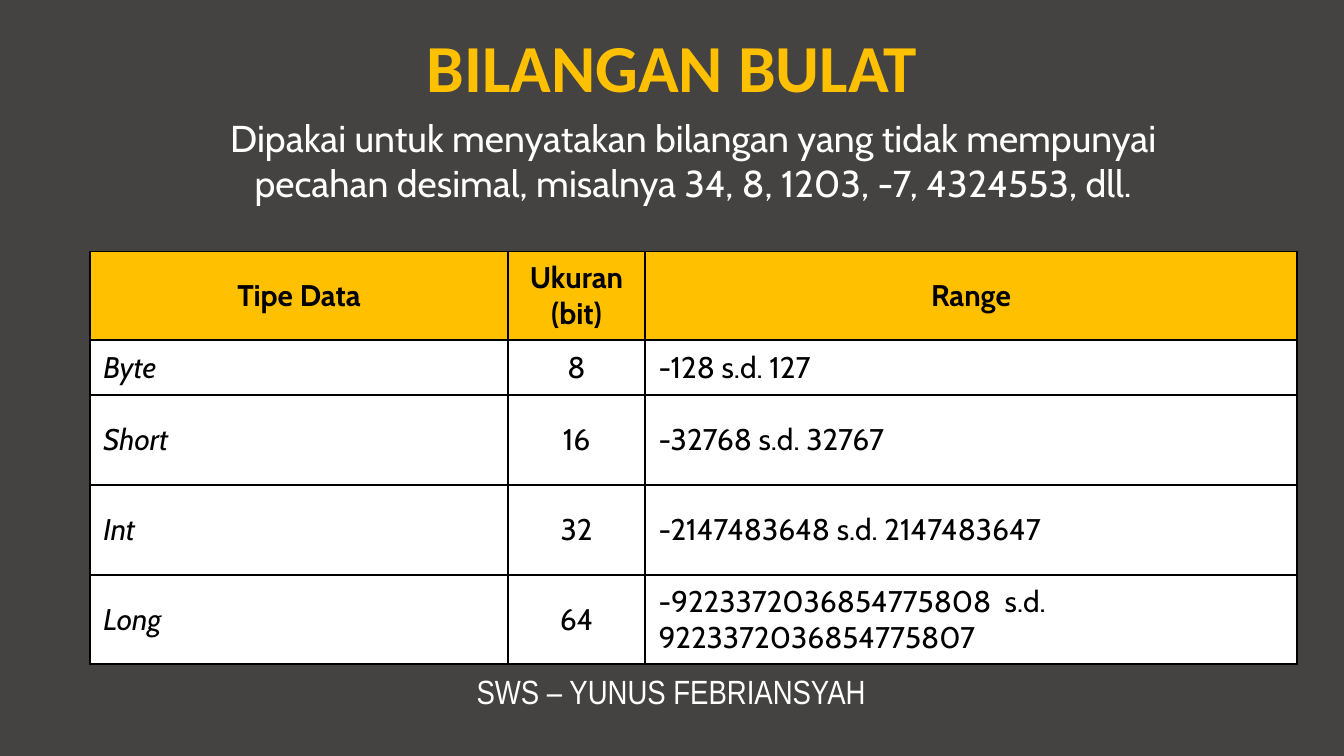
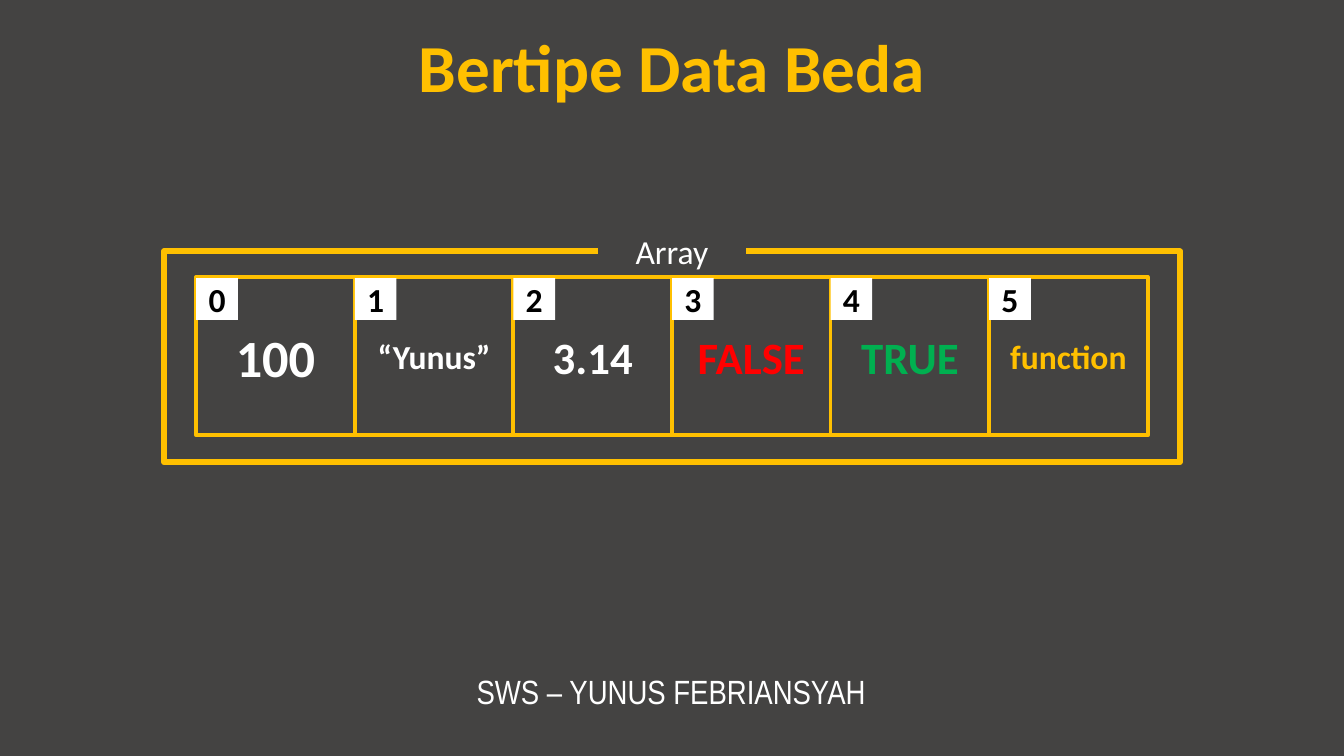
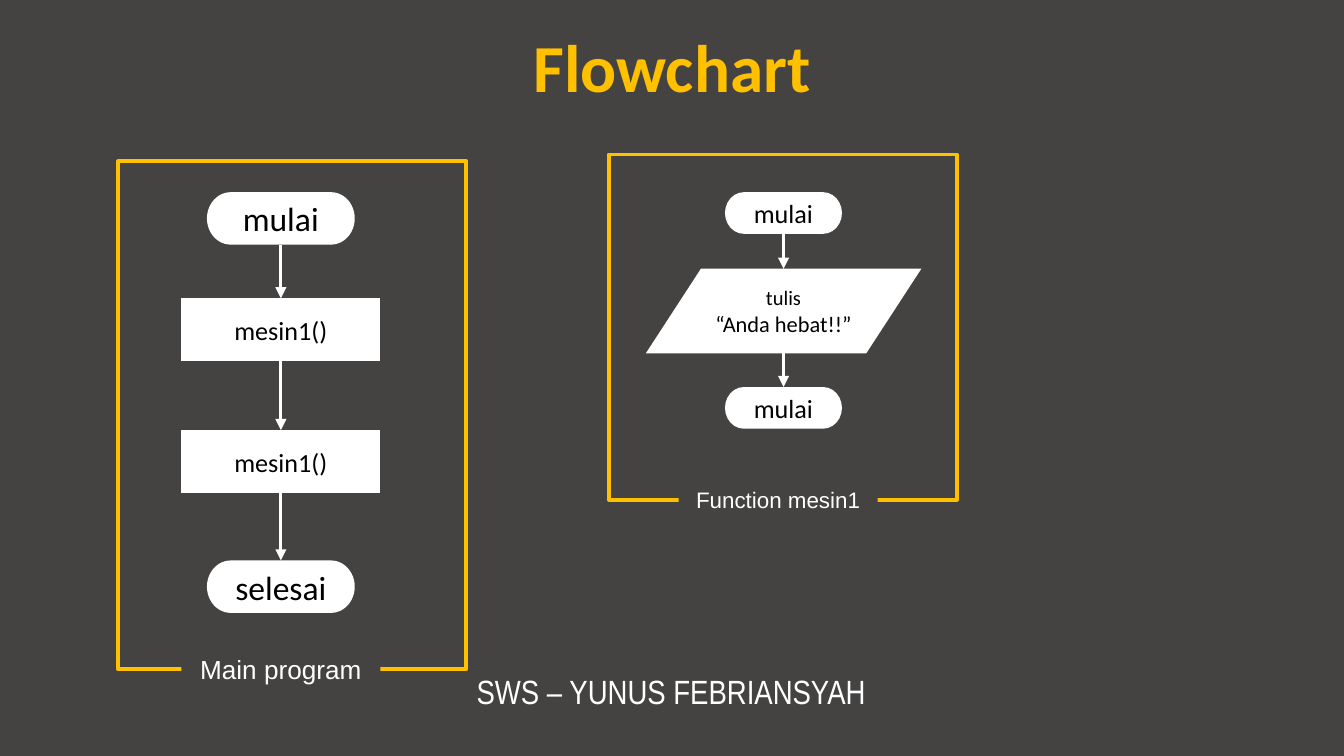
import dataclasses

import pptx
import pptx.dml.color
import pptx.enum.shapes
import pptx.enum.text
import pptx.oxml
import pptx.oxml.ns
import pptx.util

Inches = pptx.util.Inches
Pt = pptx.util.Pt
Preset = pptx.enum.shapes.MSO_SHAPE
Align = pptx.enum.text.PP_ALIGN
Anchor = pptx.enum.text.MSO_ANCHOR


@dataclasses.dataclass(frozen=True)
class Theme:
    """Colours, fonts and type sizes of the deck."""
    ground: str = "444342"
    accent: str = "FFC000"
    white: str = "FFFFFF"
    black: str = "000000"
    red: str = "FF0000"
    green: str = "00B050"
    heading_font: str = "Calibri"
    body_font: str = "Cabin"
    footer_font: str = "Arial Narrow"
    caption_font: str = "Arial"
    title: int = 36
    number: int = 28
    value: int = 24
    lead: int = 20
    label: int = 18
    cell: int = 16
    step: int = 14
    note: int = 12
    small: int = 11


@dataclasses.dataclass(frozen=True)
class Box:
    """A rectangle measured in inches."""
    left: float
    top: float
    width: float
    height: float

    def inside(self, left, top, width, height):
        """Return a box placed relative to this one."""
        return Box(self.left + left, self.top + top, width, height)

    def lengths(self):
        """Return the four lengths for a new shape."""
        return [Inches(n) for n in (self.left, self.top, self.width, self.height)]


@dataclasses.dataclass(frozen=True)
class Step:
    """One flowchart symbol, with its top measured from its frame."""
    preset: int
    top: float
    width: float
    height: float
    text: str
    sizes: tuple


THEME = Theme()


def rgb(code):
    """Turn a hex code into a colour."""
    return pptx.dml.color.RGBColor.from_string(code)


def write(frame, text, font, sizes, color, bold=False, italic=False, align=Align.CENTER):
    """Fill a text frame, with one size for each paragraph."""
    frame.text = text
    frame.word_wrap = True
    for para, size in zip(frame.paragraphs, sizes):
        para.alignment = align
        for span in para.runs:
            span.font.name = font
            span.font.size = Pt(size)
            span.font.color.rgb = rgb(color)
            span.font.bold = bold
            span.font.italic = italic


def add_block(page, box, preset=Preset.RECTANGLE, fill=None, line_width=0):
    """Add a preset shape with optional fill and accent outline."""
    shape = page.shapes.add_shape(preset, *box.lengths())
    shape.shadow.inherit = False
    if fill:
        shape.fill.solid()
        shape.fill.fore_color.rgb = rgb(fill)
    else:
        shape.fill.background()
    if line_width:
        shape.line.color.rgb = rgb(THEME.accent)
        shape.line.width = Pt(line_width)
    else:
        shape.line.fill.background()
    frame = shape.text_frame
    frame.vertical_anchor = Anchor.MIDDLE
    frame.margin_left = frame.margin_right = 0
    frame.margin_top = frame.margin_bottom = 0
    return shape


def add_text(page, box, text, font, size, color, bold=False):
    """Add a centred text box and return its frame."""
    frame = page.shapes.add_textbox(*box.lengths()).text_frame
    write(frame, text, font, [size], color, bold)
    return frame


def add_arrow(page, x, start, end):
    """Add a vertical white arrow."""
    arrow = page.shapes.add_connector(
        pptx.enum.shapes.MSO_CONNECTOR.STRAIGHT,
        Inches(x), Inches(start), Inches(x), Inches(end))
    arrow.line.color.rgb = rgb(THEME.white)
    arrow.line.width = Pt(1.5)
    namespace = pptx.oxml.ns.nsdecls("a")
    arrow.line._get_or_add_ln().append(
        pptx.oxml.parse_xml(f'<a:tailEnd {namespace} type="triangle"/>'))
    arrow._element.spPr.append(pptx.oxml.parse_xml(f"<a:effectLst {namespace}/>"))


def add_page(deck, title):
    """Add a page with background, footer and title."""
    page = deck.slides.add_slide(deck.slide_layouts[6])
    page.background.fill.solid()
    page.background.fill.fore_color.rgb = rgb(THEME.ground)
    footer = add_text(page, Box(2.87, 4.94, 4.25, 0.4), "SWS – YUNUS FEBRIANSYAH",
                      THEME.footer_font, THEME.label, THEME.white)
    footer.auto_size = pptx.enum.text.MSO_AUTO_SIZE.SHAPE_TO_FIT_TEXT
    heading = add_text(page, Box(0, 0.17, 10, 0.63), title,
                       THEME.heading_font, THEME.title, THEME.accent, True)
    heading.vertical_anchor = Anchor.MIDDLE
    return page


def border_cell(cell):
    """Draw thin black lines on all sides of a cell."""
    properties = cell._tc.get_or_add_tcPr()
    for index, side in enumerate("LRTB"):
        properties.insert(index, pptx.oxml.parse_xml(
            f'<a:ln{side} {pptx.oxml.ns.nsdecls("a")} w="{Pt(1)}"><a:solidFill>'
            f'<a:srgbClr val="{THEME.black}"/></a:solidFill></a:ln{side}>'))


def add_type_table(page, box, rows, widths, heights):
    """Add the table of data types."""
    table = page.shapes.add_table(len(rows), len(widths), *box.lengths()).table
    table.horz_banding = False
    for column, width in zip(table.columns, widths):
        column.width = Inches(width)
    for r, (values, height) in enumerate(zip(rows, heights)):
        table.rows[r].height = Inches(height)
        for c, value in enumerate(values):
            header = r == 0
            cell = table.cell(r, c)
            cell.vertical_anchor = Anchor.MIDDLE
            cell.fill.solid()
            cell.fill.fore_color.rgb = rgb(THEME.accent if header else THEME.white)
            write(cell.text_frame, value, THEME.body_font, [THEME.cell], THEME.black,
                  bold=header, italic=not header and c == 0,
                  align=Align.CENTER if header or c == 1 else Align.LEFT)
            border_cell(cell)


def add_array(page, box, items):
    """Add the array frame with its tiles and index badges."""
    side = 1.18
    add_block(page, box, line_width=3)
    caption = add_block(page, box.inside((box.width - 1.1) / 2, -0.2, 1.1, 0.39),
                        fill=THEME.ground)
    write(caption.text_frame, "Array", THEME.heading_font, [THEME.label], THEME.white)
    tiles = [box.inside(0.24 + index * side, 0.19, side, side)
             for index in range(len(items))]
    for tile, (value, size, color) in zip(tiles, items):
        shape = add_block(page, tile, fill=THEME.ground, line_width=2)
        write(shape.text_frame, value, THEME.heading_font, [size], color, True)
    for index, tile in enumerate(tiles):
        badge = add_block(page, tile.inside(0, 0.01, 0.31, 0.31), fill=THEME.white)
        write(badge.text_frame, str(index), THEME.heading_font, [THEME.label],
              THEME.black, True)


def add_flow(page, box, axis, steps, caption, caption_axis, caption_size):
    """Add a framed flowchart whose steps are centred on an axis."""
    add_block(page, box, line_width=2)
    label = add_block(page, box.inside(caption_axis - 0.74, box.height - 0.2, 1.48, 0.39),
                      fill=THEME.ground)
    write(label.text_frame, caption, THEME.caption_font, [caption_size], THEME.white)
    for step in steps:
        place = box.inside(axis - step.width / 2, step.top, step.width, step.height)
        shape = add_block(page, place, step.preset, THEME.white)
        write(shape.text_frame, step.text, THEME.heading_font, step.sizes, THEME.black)
    for step, following in zip(steps, steps[1:]):
        add_arrow(page, box.left + axis, box.top + step.top + step.height,
                  box.top + following.top)


def build_integers(deck):
    """Build the page on integer types."""
    page = add_page(deck, "BILANGAN BULAT")
    add_text(page, Box(1.38, 0.81, 7.56, 0.77),
             "Dipakai untuk menyatakan bilangan yang tidak mempunyai pecahan desimal, "
             "misalnya 34, 8, 1203, -7, 4324553, dll.",
             THEME.body_font, THEME.lead, THEME.white)
    rows = [
        ("Tipe Data", "Ukuran (bit)", "Range"),
        ("Byte", "8", "-128 s.d. 127"),
        ("Short", "16", "-32768 s.d. 32767"),
        ("Int", "32", "-2147483648 s.d. 2147483647"),
        ("Long", "64", "-9223372036854775808  s.d. 9223372036854775807"),
    ]
    add_type_table(page, Box(0.67, 1.87, 8.98, 3.07), rows,
                   (3.11, 1.02, 4.85), (0.66, 0.41, 0.67, 0.67, 0.66))


def build_mixed_array(deck):
    """Build the page on an array of mixed types."""
    page = add_page(deck, "Bertipe Data Beda")
    add_array(page, Box(1.22, 1.87, 7.56, 1.57), [
        ("100", THEME.number, THEME.white),
        ("“Yunus”", THEME.label, THEME.white),
        ("3.14", THEME.value, THEME.white),
        ("FALSE", THEME.value, THEME.red),
        ("TRUE", THEME.value, THEME.green),
        ("function", THEME.label, THEME.accent),
    ])


def build_flowchart(deck):
    """Build the page with the program and function flowcharts."""
    page = add_page(deck, "Flowchart")
    ends = Preset.FLOWCHART_TERMINATOR
    process = Preset.FLOWCHART_PROCESS
    add_flow(page, Box(0.88, 1.2, 2.59, 3.78), 1.21, [
        Step(ends, 0.23, 1.1, 0.39, "mulai", (THEME.label,)),
        Step(process, 1.02, 1.48, 0.47, "mesin1()", (THEME.step,)),
        Step(process, 2, 1.48, 0.47, "mesin1()", (THEME.step,)),
        Step(ends, 2.97, 1.1, 0.39, "selesai", (THEME.label,)),
    ], "Main program", 1.21, THEME.step)
    add_flow(page, Box(4.53, 1.15, 2.59, 2.57), 1.3, [
        Step(ends, 0.28, 0.87, 0.31, "mulai", (THEME.step,)),
        Step(Preset.FLOWCHART_DATA, 0.85, 2.05, 0.63, "tulis\n“Anda hebat!!”",
             (THEME.small, THEME.note)),
        Step(ends, 1.73, 0.87, 0.31, "mulai", (THEME.step,)),
    ], "Function mesin1", 1.26, THEME.note)


def main():
    """Build and save the deck."""
    deck = pptx.Presentation()
    deck.slide_width = Inches(10)
    deck.slide_height = Inches(10 * 9 / 16)
    build_integers(deck)
    build_mixed_array(deck)
    build_flowchart(deck)
    deck.save("out.pptx")


if __name__ == "__main__":
    main()
